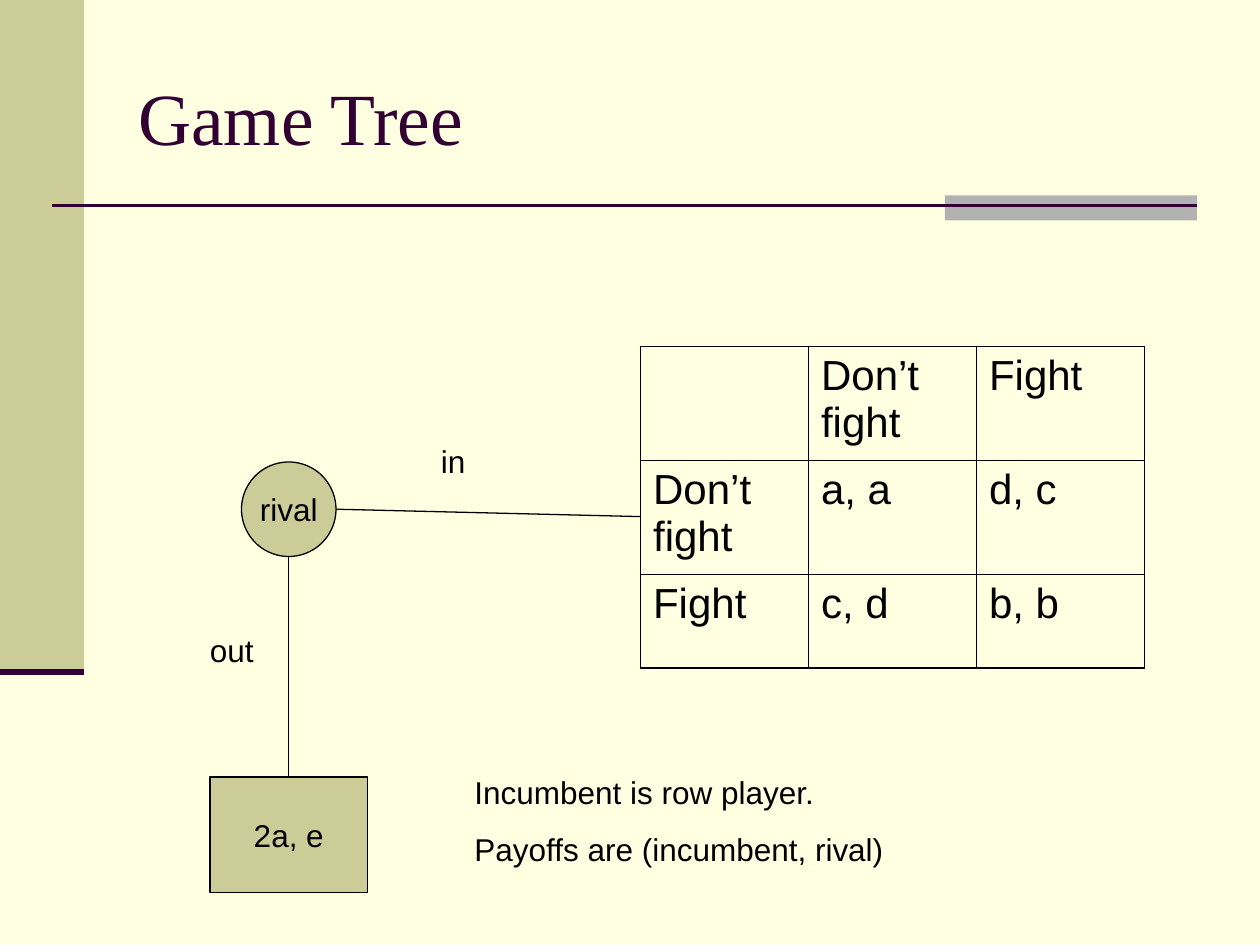
from lxml.etree import SubElement
from pptx import Presentation
from pptx.dml.color import RGBColor
from pptx.enum.shapes import MSO_CONNECTOR as Link, MSO_SHAPE as Preset
from pptx.enum.text import MSO_ANCHOR as Anchor, MSO_AUTO_SIZE as Fit, PP_ALIGN as Align
from pptx.oxml.ns import qn
from pptx.util import Inches, Pt

COLORS = {"page": "FFFFE1", "sand": "CCCC99", "gray": "B2B2B2", "plum": "330033", "ink": "000000"}
COLUMNS, ROWS = 120, 90
WIDTH, HEIGHT = Inches(10), Inches(7.5)
PAYOFFS = [
    ["", "Don’t fight", "Fight"],
    ["Don’t fight", "a, a", "d, c"],
    ["Fight", "c, d", "b, b"],
]
OUTER_RULE, INNER_RULE = 1.08, 0.45


def color(key):
    """Return the named colour."""
    return RGBColor.from_string(COLORS[key])


def col(count):
    """Return the length of a number of grid columns."""
    return round(WIDTH * count / COLUMNS)


def row(count):
    """Return the length of a number of grid rows."""
    return round(HEIGHT * count / ROWS)


def place(left, top, width, height):
    """Turn grid units into a position and a size."""
    return col(left), row(top), col(width), row(height)


def write(paragraph, text, size=18, font="Arial", ink="ink"):
    """Add one formatted run to a paragraph."""
    run = paragraph.add_run()
    run.text = text
    run.font.size = Pt(size)
    run.font.name = font
    run.font.color.rgb = color(ink)


def add_block(slide, area, fill, preset=Preset.RECTANGLE):
    """Add a plain filled shape without an outline."""
    block = slide.shapes.add_shape(preset, *place(*area))
    block.shadow.inherit = False
    block.fill.solid()
    block.fill.fore_color.rgb = color(fill)
    block.line.fill.background()
    return block


def add_node(slide, area, label, preset):
    """Add an outlined node of the tree with a centred label."""
    node = add_block(slide, area, "sand", preset)
    node.line.color.rgb = color("ink")
    node.line.width = Pt(0.75)
    frame = node.text_frame
    frame.word_wrap = False
    frame.vertical_anchor = Anchor.MIDDLE
    frame.paragraphs[0].alignment = Align.CENTER
    write(frame.paragraphs[0], label)


def add_rule(slide, start, end, ink="ink", weight=0.75):
    """Add a straight line between two grid points."""
    ends = col(start[0]), row(start[1]), col(end[0]), row(end[1])
    rule = slide.shapes.add_connector(Link.STRAIGHT, *ends)
    rule.line.color.rgb = color(ink)
    rule.line.width = Pt(weight)
    SubElement(rule._element.spPr, qn("a:effectLst"))


def add_text(slide, area, lines, wrap=False, before=0):
    """Add a growing text box with one paragraph per line."""
    frame = slide.shapes.add_textbox(*place(*area)).text_frame
    frame.word_wrap = wrap
    frame.auto_size = Fit.SHAPE_TO_FIT_TEXT
    for index, line in enumerate(lines):
        paragraph = frame.add_paragraph() if index else frame.paragraphs[0]
        paragraph.space_before = Pt(before)
        write(paragraph, line)


def add_title(slide, area, text):
    """Add the slide's heading."""
    frame = slide.shapes.add_textbox(*place(*area)).text_frame
    frame.word_wrap = True
    frame.vertical_anchor = Anchor.MIDDLE
    write(frame.paragraphs[0], text, 42, "Times New Roman", "plum")


def set_borders(cell, outer_sides):
    """Draw a cell's borders, heavier on the table's outer sides."""
    properties = cell._tc.get_or_add_tcPr()
    for index, side in enumerate("LRTB"):
        weight = OUTER_RULE if side in outer_sides else INNER_RULE
        border = SubElement(properties, qn(f"a:ln{side}"), w=str(Pt(weight)))
        fill = SubElement(border, qn("a:solidFill"))
        SubElement(fill, qn("a:srgbClr"), val=COLORS["ink"])


def add_payoff_table(slide, area, row_heights):
    """Add the payoff matrix."""
    last = len(PAYOFFS) - 1
    matrix = slide.shapes.add_table(last + 1, last + 1, *place(*area)).table
    matrix.first_row = matrix.horz_banding = False
    for r, (payoffs, height) in enumerate(zip(PAYOFFS, row_heights)):
        matrix.rows[r].height = row(height)
        for c, payoff in enumerate(payoffs):
            cell = matrix.cell(r, c)
            edges = {"L": c == 0, "R": c == last, "T": r == 0, "B": r == last}
            set_borders(cell, [side for side, outer in edges.items() if outer])
            cell.fill.background()
            if payoff:
                paragraph = cell.text_frame.paragraphs[0]
                paragraph.space_before = Pt(6)
                write(paragraph, payoff, 24)


def add_backdrop(slide):
    """Add the page colour and the decorative bars and rules."""
    slide.background.fill.solid()
    slide.background.fill.fore_color.rgb = color("page")
    add_block(slide, (0, 0, 8, 64), "sand")
    add_block(slide, (90, 18.6, 24, 2.4), "gray")
    add_rule(slide, (5, 19.6), (114, 19.6), "plum", 1.5)
    add_rule(slide, (0, 64), (8, 64), "plum", 3.5)


def main():
    """Build the game tree slide."""
    deck = Presentation()
    deck.slide_width, deck.slide_height = WIDTH, HEIGHT
    slide = deck.slides.add_slide(deck.slide_layouts[6])
    add_backdrop(slide)
    add_title(slide, (12, 3.6, 102, 15), "Game Tree")
    add_node(slide, (23, 44, 9, 9), "rival", Preset.OVAL)
    add_payoff_table(slide, (61, 33, 48, 30.6), (10.85, 10.85, 8.9))
    add_rule(slide, (32, 48.5), (61, 49.2))
    add_node(slide, (20, 74, 15, 11), "2a, e", Preset.RECTANGLE)
    add_rule(slide, (27.5, 53), (27.5, 74))
    add_text(slide, (18.8, 59.5, 6.6, 4.8), ["out"])
    add_text(slide, (40.8, 41.5, 4.7, 4.8), ["in"])
    notes = ["Incumbent is row player.", "Payoffs are (incumbent, rival)"]
    add_text(slide, (44, 73, 57, 10.3), notes, wrap=True, before=11.2)
    deck.save("out.pptx")


if __name__ == "__main__":
    main()
